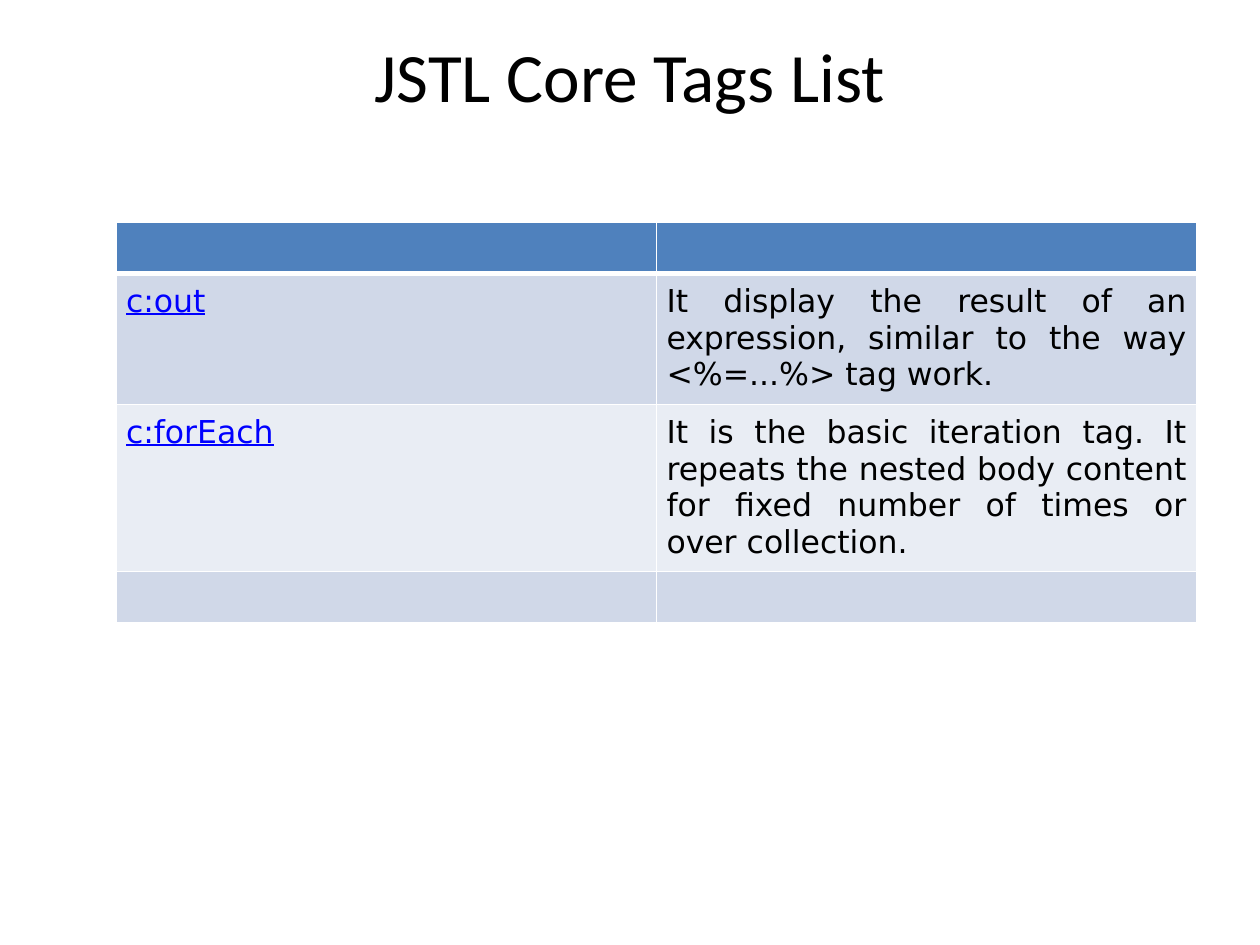
from dataclasses import dataclass

from lxml.etree import SubElement
from pptx import Presentation
from pptx.dml.color import RGBColor
from pptx.enum.text import MSO_ANCHOR, PP_ALIGN
from pptx.oxml.ns import qn
from pptx.util import Pt


@dataclass(frozen=True)
class Theme:
    title_font: str = "Calibri"
    body_font: str = "DejaVu Sans"
    title_size: float = 39.6
    body_size: float = 18
    text: str = "000000"
    tag: str = "0000FF"
    header: str = "4F81BD"
    bands: tuple = ("D0D8E8", "E9EDF4")
    border: str = "FFFFFF"


THEME = Theme()
TAGS = [
    ("c:out", "It display the result of an expression, similar to the way <%=...%> tag work."),
    ("c:forEach", "It is the basic iteration tag. It repeats the nested body content "
                  "for fixed number of times or over collection."),
]
ROW_HEIGHTS = (28.8, 75, 95.5, 28.8)


def add_text(p, text, *, font, size, color, align, underline=False):
    p.alignment = align
    r = p.add_run()
    r.text = text
    r.font.name, r.font.size = font, Pt(size)
    r.font.bold, r.font.underline = False, underline
    r.font.color.rgb = RGBColor.from_string(color)


def add_trailing_line(p, size):
    """End the paragraph with a line break whose empty line has the given size."""
    p.add_line_break()
    sz = str(round(size * 100))
    SubElement(p._p.find(qn("a:br")), qn("a:rPr")).set("sz", sz)
    SubElement(p._p, qn("a:endParaRPr")).set("sz", sz)


def place_title(s, text, left, top, width, height):
    title = s.shapes.title
    title.left, title.top, title.width, title.height = map(Pt, (left, top, width, height))
    tf = title.text_frame
    tf.word_wrap = True
    tf.vertical_anchor = MSO_ANCHOR.MIDDLE
    p = tf.paragraphs[0]
    add_text(p, text, font=THEME.title_font, size=THEME.title_size,
             color=THEME.text, align=PP_ALIGN.CENTER)
    add_trailing_line(p, THEME.title_size)


def style_cell(cell, fill, bottom=1):
    """Draw the cell's borders, then its fill."""
    tc_pr = cell._tc.get_or_add_tcPr()
    for side, weight in (("L", 1), ("R", 1), ("T", 1), ("B", bottom)):
        ln = SubElement(tc_pr, qn(f"a:ln{side}"), w=str(Pt(weight)))
        solid = SubElement(ln, qn("a:solidFill"))
        SubElement(solid, qn("a:srgbClr"), val=THEME.border)
    cell.fill.solid()
    cell.fill.fore_color.rgb = RGBColor.from_string(fill)


def fill_cell(cell, text, **fmt):
    cell.margin_left = cell.margin_right = cell.margin_top = cell.margin_bottom = Pt(5.76)
    add_text(cell.text_frame.paragraphs[0], text, font=THEME.body_font,
             size=THEME.body_size, align=PP_ALIGN.JUSTIFY, **fmt)


def place_tag_table(s, left, top, width):
    table = s.shapes.add_table(len(ROW_HEIGHTS), 2, Pt(left), Pt(top), Pt(width),
                               Pt(sum(ROW_HEIGHTS))).table
    for i, (row, height) in enumerate(zip(table.rows, ROW_HEIGHTS)):
        row.height = Pt(height)
        for cell in row.cells:
            if i == 0:
                style_cell(cell, THEME.header, bottom=3)
            else:
                style_cell(cell, THEME.bands[(i - 1) % 2])
    for i, (tag, description) in enumerate(TAGS, start=1):
        fill_cell(table.cell(i, 0), tag, color=THEME.tag, underline=True)
        fill_cell(table.cell(i, 1), description, color=THEME.text)


def main():
    prs = Presentation()
    prs.slide_width, prs.slide_height = Pt(720), Pt(540)
    s = prs.slides.add_slide(prs.slide_layouts[5])
    place_title(s, "JSTL Core Tags List", 36, 21.6, 648, 90)
    place_tag_table(s, 66.24, 127, 617.76)
    prs.save("out.pptx")


if __name__ == "__main__":
    main()
